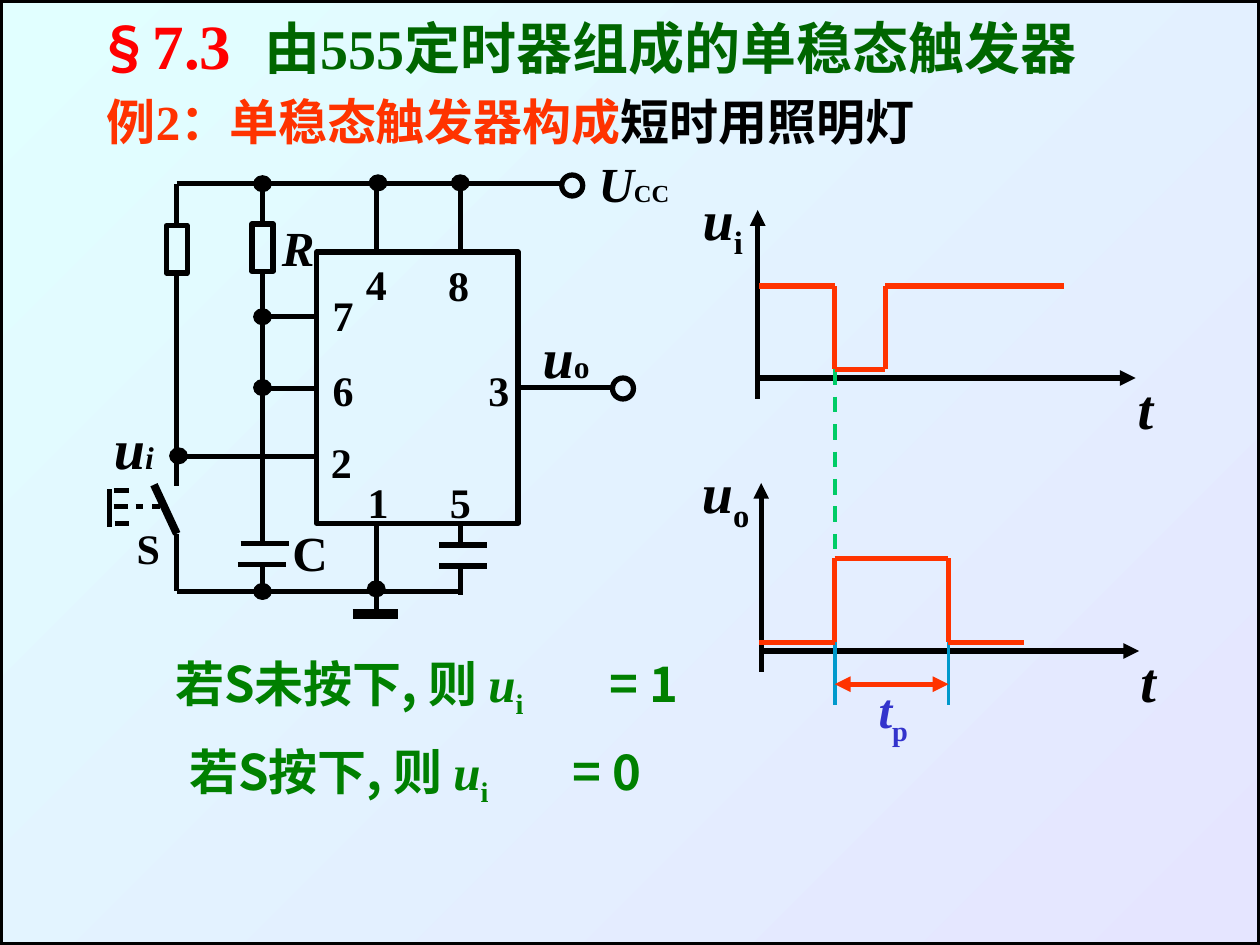
import itertools
import pptx
import pptx.util
import pptx.dml.color
import pptx.enum.dml
import pptx.enum.shapes
import pptx.enum.text
import pptx.oxml.ns
from lxml import etree

Pt = pptx.util.Pt
qn = pptx.oxml.ns.qn
KINDS = pptx.enum.shapes.MSO_SHAPE
CJK, ROMAN = "Noto Sans CJK SC", "Times New Roman"
BLACK, RED, GREEN, CYAN = "000000", "FF3300", "008000", "0099CC"

TITLE = [
    ("§", dict(size=32, name=CJK, color="FF0000")),
    ("7.3\t", dict(size=36, color="FF0000")),
    ("由555定时器组成的单稳态触发器", dict(size=32, color="006600")),
]
HEAD = [
    ("例", dict(size=28, name=CJK, color=RED)),
    ("2：", dict(size=28, color=RED)),
    ("单稳态触发器构成", dict(size=28, name=CJK, color=RED)),
    ("短时用照明灯", dict(size=28, name=CJK)),
]
CASES = [(93, 370, "若S未按下, 则 ", "= 1", 248), (101, 420, "若S按下, 则 ", "= 0", 219)]
PINS = [("4", 202, 144), ("8", 249, 145), ("7", 183, 162), ("6", 183, 204.5),
        ("2", 182, 246), ("3", 272, 205), ("1", 203, 269), ("5", 250, 269)]
ROMANS = dict(size=32, italic=True)
LABELS = [
    (303, 181, [("u", ROMANS), ("o", dict(size=18))]),
    (58, 232.5, [("u", ROMANS), ("i", dict(size=18, italic=True))]),
    (335, 84, [("U", dict(size=28, italic=True)), ("CC", dict(size=14))]),
    (71, 295, [("S", dict(size=24))]),
    (154, 121, [("R", dict(size=28, italic=True))]),
    (160, 295, [("C", dict(size=28))]),
    (394.5, 102, [("u", ROMANS), ("i", dict(size=32, base=-25))]),
    (394, 258, [("u", ROMANS), ("o", dict(size=32, base=-25))]),
    (643, 210, [("t", ROMANS)]),
    (644.5, 366, [("t", ROMANS)]),
    (495, 385, [("t", dict(size=28, italic=True, color="3333CC")),
                ("p", dict(size=28, color="3333CC", base=-25))]),
]

LAMP, RES, PIN4, PIN8 = 101, 150, 215, 263
RAIL, BASE = 105, 338
BOXES = [(181, 144, 115, 155), (95, 129, 12, 27), (144, 128, 12, 27)]
WIRES = [
    (LAMP, RAIL, 321, RAIL), (LAMP, RAIL, LAMP, 129), (RES, RAIL, RES, 128),
    (PIN4, RAIL, PIN4, 144), (PIN8, RAIL, PIN8, 144),
    (LAMP, 156, LAMP, 278), (RES, 155, RES, 309),
    (RES, 181, 181, 181), (RES, 222, 181, 222), (LAMP, 261, 181, 261),
    (296, 221.5, 350, 221.5), (LAMP, 305, LAMP, BASE), (LAMP, BASE, PIN8, BASE),
    (RES, 323, RES, BASE), (PIN4, 299, PIN4, 350),
    (PIN8, 299, PIN8, 311), (PIN8, 324, PIN8, 340),
    (137.5, 310.5, 165, 310.5), (136, 322.5, 163.5, 322.5),
    (251, 311.5, 278.5, 311.5), (251, 323.5, 278.5, 323.5),
    (87, 289.5, 91.5, 289.5), (77.5, 289.5, 82, 289.5),
    (62.5, 279.5, 62.5, 301), (65, 280.5, 73.5, 280.5),
    (65, 289.5, 73, 289.5), (65.5, 299, 73.5, 299),
]
THICK = [(88, 277, LAMP, 305, 4.5), (201.5, 351, 227.5, 351, 6)]
DOTS = [(PIN4, 336.5), (RES, BASE), (102, 260.5), (RES, 221.5),
        (RES, 181), (RES, RAIL), (216, 104.5), (PIN8, 104.5)]
RINGS = [(327, 106), (356, 222)]

FALL, RISE, STOP = 477, 506, 542
AXES = [(433, 216), (435, 372)]
WAVES = [
    [(434, 163.5), (FALL, 163.5), (FALL, 211), (RISE, 211), (RISE, 163.5), (608, 163.5)],
    [(434, 367), (FALL, 367), (FALL, 319), (STOP, 319), (STOP, 367), (585, 367)],
]


def tint(code):
    return pptx.dml.color.RGBColor.from_string(code)


def write(frame, runs, tab=None, gap=None):
    frame.word_wrap = True
    frame.auto_size = pptx.enum.text.MSO_AUTO_SIZE.NONE
    frame.vertical_anchor = pptx.enum.text.MSO_ANCHOR.TOP
    para = frame.paragraphs[0]
    para.alignment = pptx.enum.text.PP_ALIGN.LEFT
    if gap:
        para.line_spacing = gap
    if tab:
        tabs = etree.SubElement(para._p.get_or_add_pPr(), qn("a:tabLst"))
        etree.SubElement(tabs, qn("a:tab"), pos=str(Pt(tab)), algn="l")
    for text, look in runs:
        run = para.add_run()
        run.text = text
        form = dict(name=ROMAN, bold=True, italic=False) | look
        run.font.color.rgb = tint(form.pop("color", BLACK))
        base = form.pop("base", 0)
        form["size"] = Pt(form["size"])
        for key, value in form.items():
            setattr(run.font, key, value)
        props = run._r.get_or_add_rPr()
        etree.SubElement(props, qn("a:ea"), typeface=CJK)
        if base:
            props.set("baseline", str(base * 1000))


def label(x, y, w, h, runs, **more):
    box = shapes.add_textbox(Pt(x), Pt(y), Pt(w), Pt(h))
    write(box.text_frame, runs, **more)


def shape(kind, x, y, w, h, fill=None, width=3):
    item = shapes.add_shape(kind, Pt(x), Pt(y), Pt(w), Pt(h))
    item.shadow.inherit = False
    item.line.color.rgb = tint(BLACK)
    item.line.width = Pt(width)
    if fill:
        item.fill.solid()
        item.fill.fore_color.rgb = tint(fill)
    else:
        item.fill.background()
    return item


def line(x1, y1, x2, y2, width=3, color=BLACK, ends=(), dash=False):
    item = shapes.add_connector(pptx.enum.shapes.MSO_CONNECTOR.STRAIGHT,
                                Pt(x1), Pt(y1), Pt(x2), Pt(y2))
    item.line.color.rgb = tint(color)
    item.line.width = Pt(width)
    if dash:
        item.line.dash_style = pptx.enum.dml.MSO_LINE.DASH
    for end in ends:
        etree.SubElement(item.line._get_or_add_ln(), qn("a:" + end), type="triangle")
    etree.SubElement(item._element.spPr, qn("a:effectLst"))
    if (x1, y1) in sides:
        item.begin_connect(*sides[x1, y1])
    if (x2, y2) in sides:
        item.end_connect(*sides[x2, y2])


deck = pptx.Presentation()
deck.slide_width, deck.slide_height = Pt(720), Pt(540)
slide = deck.slides.add_slide(deck.slide_layouts[5])
shapes = slide.shapes
sides = {}

back = slide.background.fill
back.gradient()
back.gradient_angle = 315
for stop, code in zip(back.gradient_stops, ("E1FFFF", "E5E5FF")):
    stop.color.rgb = tint(code)
shape(KINDS.RECTANGLE, 0, 0, 720, 540)

title = shapes.title
for key, value in dict(left=48, top=0, width=600, height=48).items():
    setattr(title, key, Pt(value))
write(title.text_frame, TITLE, tab=96)
label(54, 44, 486, 85, HEAD, gap=1.15)

for x, y, w, h in BOXES:
    part = shape(KINDS.RECTANGLE, x, y, w, h)
    spots = [(x + w / 2, y), (x, y + h / 2), (x + w / 2, y + h), (x + w, y + h / 2)]
    sides.update({spot: (part, i) for i, spot in enumerate(spots)})
for wire in WIRES + THICK:
    line(*wire)
for x, y in DOTS:
    shape(KINDS.OVAL, x - 5, y - 4.5, 10, 9, BLACK, 0.75)
for x, y in RINGS:
    shape(KINDS.OVAL, x - 6, y - 6, 12, 12)
for text, x, y in PINS:
    label(x, y, 30, 36, [(text, dict(size=24))])

for x, y in AXES:
    line(x, y + 12, x, y - 96, ends=["tailEnd"])
    line(x, y, x + 216, y, ends=["tailEnd"])
line(FALL, 211, FALL, 319, 2.25, "00CC66", dash=True)
for x in (FALL, STOP):
    line(x, 367, x, 403, 2.25, CYAN)
line(FALL, 391, STOP, 391, color=RED, ends=["headEnd", "tailEnd"])
for wave in WAVES:
    for start, end in itertools.pairwise(wave):
        line(*start, *end, color=RED)

for x, y, runs in LABELS:
    label(x, y, 56, 46, runs)
for x, y, text, value, tab in CASES:
    look = dict(size=28, color=GREEN)
    runs = [(text, look | dict(name=CJK)), ("u", look | dict(italic=True)),
            ("i", look | dict(base=-25)), ("\t" + value, look | dict(name=CJK))]
    label(x, y, 305, 45, runs, tab=tab)

deck.save("out.pptx")
